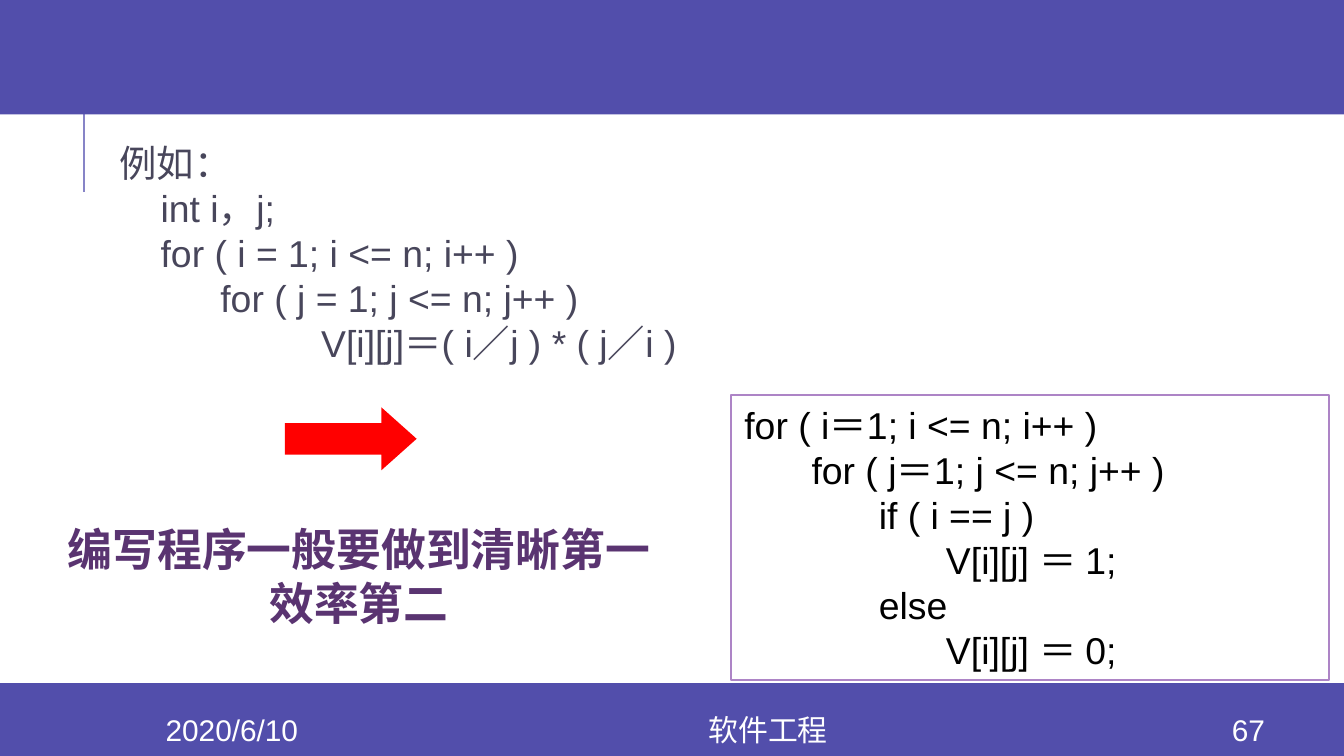
from pptx import Presentation
from pptx.dml.color import RGBColor
from pptx.enum.shapes import MSO_CONNECTOR, MSO_SHAPE
from pptx.enum.text import MSO_ANCHOR, PP_ALIGN
from pptx.oxml.ns import qn
from pptx.util import Pt
from lxml import etree

LEFT, CENTER = PP_ALIGN.LEFT, PP_ALIGN.CENTER
TOP, MIDDLE = MSO_ANCHOR.TOP, MSO_ANCHOR.MIDDLE
RECTANGLE, RIGHT_ARROW = MSO_SHAPE.RECTANGLE, MSO_SHAPE.RIGHT_ARROW

THEME = {
    "font": "Arial",
    "band": "524EAB", "rule": "8784C7", "border": "AD84C6", "arrow": "FF0000",
    "white": "FFFFFF", "body": "48465B", "code": "000000", "message": "5A3471",
    "code_size": 20, "message_size": 24, "footer_size": 16,
}

EXAMPLE = [
    (0, "例如："),
    (22, "int i，j;"),
    (22, "for ( i = 1; i <= n; i++ )"),
    (54, "for ( j = 1; j <= n; j++ )"),
    (108, "V[i][j]＝( i／j ) * ( j／i )"),
]
CODE_STEP = 36
CLEAR_CODE = [
    (0, "for ( i＝1; i <= n; i++ )"),
    (1, "for ( j＝1; j <= n; j++ )"),
    (2, "if ( i == j )"),
    (3, "V[i][j] ＝ 1;"),
    (2, "else"),
    (3, "V[i][j] ＝ 0;"),
]
MESSAGE = ["编写程序一般要做到清晰第一", "效率第二"]
FOOTERS = [(60.5, 127.5, "2020/6/10"), (188, 447, "软件工程"), (640, 57.6, "67")]
BANDS = [(-2, 63.3), (366, 39)]


def color(name):
    return RGBColor.from_string(THEME[name])


def add_block(slide, kind, box, fill, border=None):
    shape = slide.shapes.add_shape(kind, *map(Pt, box))
    shape.shadow.inherit = False
    shape.fill.solid()
    shape.fill.fore_color.rgb = color(fill)
    if border:
        shape.line.color.rgb = color(border)
        shape.line.width = Pt(1.25)
    else:
        shape.line.fill.background()
    return shape


def write(shape, lines, *, size, ink, bold=False, align=LEFT, anchor=TOP,
          wrap=True, margin=(7.2, 3.6), spacing=None):
    frame = shape.text_frame
    frame.word_wrap = wrap
    frame.vertical_anchor = anchor
    frame.margin_left = frame.margin_right = Pt(margin[0])
    frame.margin_top = frame.margin_bottom = Pt(margin[1])
    for index, (indent, text) in enumerate(lines):
        paragraph = frame.paragraphs[0] if index == 0 else frame.add_paragraph()
        paragraph.alignment = align
        if spacing:
            paragraph.line_spacing = Pt(spacing)
        if indent:
            paragraph._p.get_or_add_pPr().set("marL", str(Pt(indent)))
        run = paragraph.add_run()
        run.text = text
        run.font.name = THEME["font"]
        run.font.size = Pt(THEME[size])
        run.font.bold = bold
        run.font.color.rgb = color(ink)


def add_text(slide, box, lines, **style):
    write(slide.shapes.add_textbox(*map(Pt, box)), lines, **style)


def main():
    presentation = Presentation()
    presentation.slide_width, presentation.slide_height = Pt(720), Pt(405)
    slide = presentation.slides.add_slide(presentation.slide_layouts[6])

    rule = slide.shapes.add_connector(
        MSO_CONNECTOR.STRAIGHT, Pt(45), Pt(103), Pt(45), Pt(49))
    rule.line.color.rgb = color("rule")
    rule.line.width = Pt(1.5)
    etree.SubElement(rule._element.spPr, qn("a:effectLst"))

    for top, height in BANDS:
        add_block(slide, RECTANGLE, (0, top, 720, height), "band")

    add_text(slide, (60.5, 71.3, 507, 164), EXAMPLE, size="code_size",
             ink="body", margin=(3.6, 3.6), spacing=24.1)

    for left, width, text in FOOTERS:
        add_text(slide, (left, 382.3, width, 16.6), [(0, text)],
                 size="footer_size", ink="white", align=CENTER, anchor=MIDDLE)

    code_box = add_block(slide, RECTANGLE, (391.7, 211.7, 320.4, 152.6),
                         "white", "border")
    write(code_box, [(level * CODE_STEP, text) for level, text in CLEAR_CODE],
          size="code_size", ink="code", spacing=24.1)

    arrow = add_block(slide, RIGHT_ARROW, (152.6, 218.2, 70.6, 33.8), "arrow")
    arrow.adjustments[0], arrow.adjustments[1] = 0.5, 0.56

    add_text(slide, (27.4, 275.8, 329.8, 65.5), [(0, text) for text in MESSAGE],
             size="message_size", ink="message", bold=True, align=CENTER,
             wrap=False, spacing=29)

    presentation.save("out.pptx")


if __name__ == "__main__":
    main()
